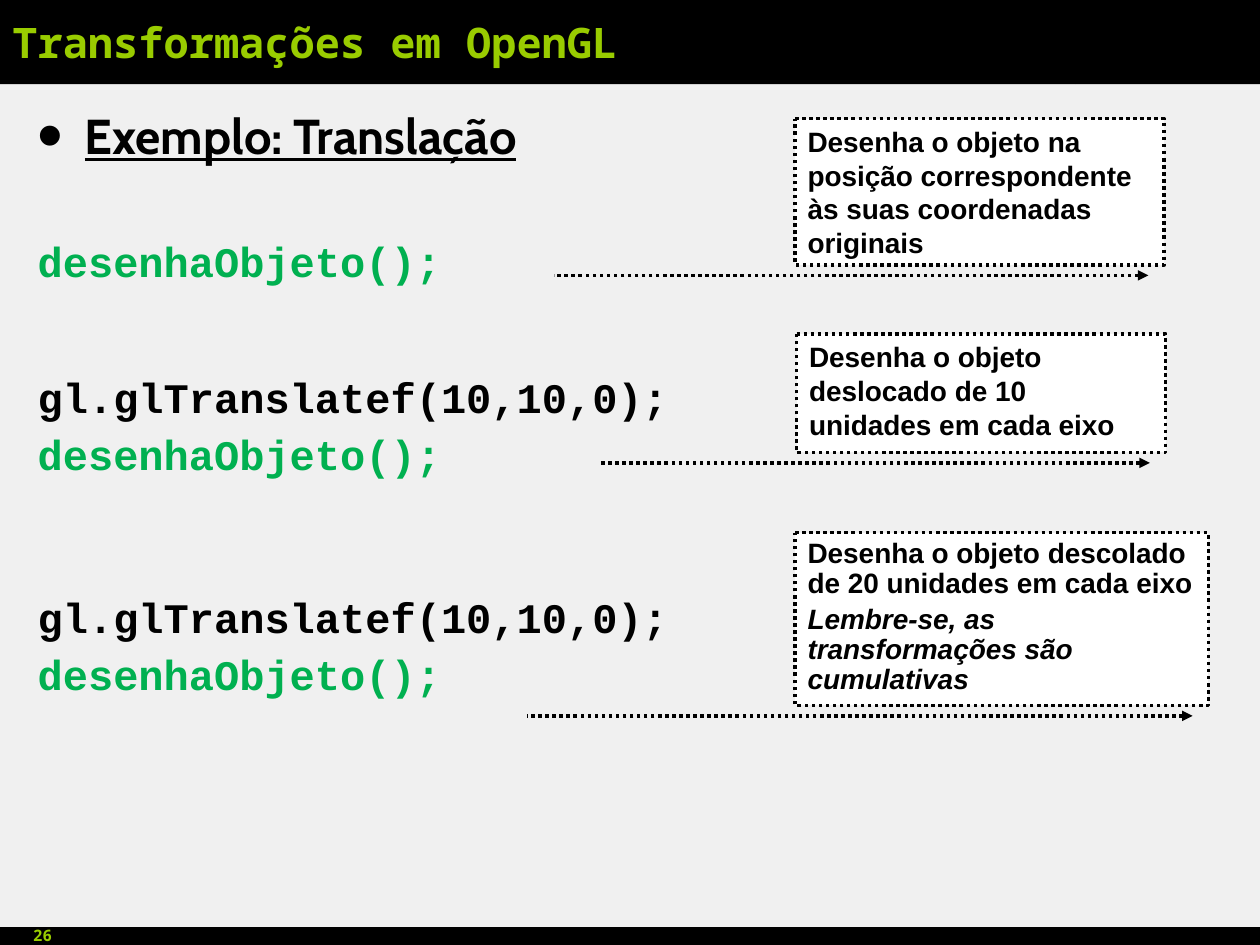
from dataclasses import dataclass

from lxml import etree
from pptx import Presentation
from pptx import util as u
from pptx.dml.color import RGBColor
from pptx.enum import dml, shapes, text
from pptx.oxml.ns import qn


@dataclass(frozen=True)
class Theme:
    background: str = "F0F0F0"
    bar: str = "000000"
    ink: str = "000000"
    paper: str = "FFFFFF"
    accent: str = "99CC00"
    draw_call: str = "00B050"
    title_font: str = "Noto Sans Mono"
    heading_font: str = "Cabin"
    code_font: str = "Courier New"
    note_font: str = "Arial"
    title_size: int = 24
    heading_size: int = 28
    code_size: int = 24
    note_size: int = 16
    number_size: int = 9


THEME = Theme()
TRANSLATE = "gl.glTranslatef(10,10,0);"
DRAW = "desenhaObjeto();"

# Code lines: text, colour, space before in points
CODE_LINES = [
    (DRAW, THEME.draw_call, 43.5),
    (TRANSLATE, THEME.ink, 52),
    (DRAW, THEME.draw_call, 6.4),
    (TRANSLATE, THEME.ink, 67.5),
    (DRAW, THEME.draw_call, 6.4),
]

# Callouts: box in cm, pointer (y1, x1, y2, x2), paragraphs with their format
TIGHT = {"line_spacing": 0.9, "space_before": 3.4}
CALLOUTS = [
    ((16.03, 2.39, 7.44, 2.95), (1.072, 0.957, 1.072, -0.654),
     [("Desenha o objeto na posição correspondente às suas coordenadas originais", {})]),
    ((16.06, 6.73, 7.44, 2.39), (1.089, 0.957, 1.089, -0.531),
     [("Desenha o objeto deslocado de 10 unidades em cada eixo", {})]),
    ((16.03, 10.74, 8.33, 3.48), (1.061, 0.962, 1.061, -0.65),
     [("Desenha o objeto descolado de 20 unidades em cada eixo", TIGHT),
      ("Lembre-se, as transformações são cumulativas", {**TIGHT, "italic": True})]),
]


def place(box):
    return [u.Cm(length) for length in box]


def write(frame, content, *, font, size, color=THEME.ink, italic=None, underline=None,
          align=text.PP_ALIGN.LEFT, line_spacing=None, space_before=None):
    """Add a bold paragraph, using the empty first one when it is free."""
    paragraph = frame.paragraphs[0]
    if paragraph.runs:
        paragraph = frame.add_paragraph()
    paragraph.alignment = align
    paragraph.line_spacing = line_spacing
    if space_before is not None:
        paragraph.space_before = u.Pt(space_before)
    run = paragraph.add_run()
    run.text = content
    run.font.name, run.font.size = font, u.Pt(size)
    run.font.bold, run.font.italic, run.font.underline = True, italic, underline
    run.font.color.rgb = RGBColor.from_string(color)
    return paragraph


def add_bullet(paragraph, indent, percent):
    properties = paragraph._p.get_or_add_pPr()
    properties.set("marL", str(indent))
    properties.set("indent", str(-indent))
    etree.SubElement(properties, qn("a:buSzPct")).set("val", str(percent * 1000))
    etree.SubElement(properties, qn("a:buFont")).set("typeface", THEME.note_font)
    etree.SubElement(properties, qn("a:buChar")).set("char", "•")


def add_box(slide, box, fill, kind=shapes.MSO_SHAPE.RECTANGLE):
    shape = slide.shapes.add_shape(kind, *place(box))
    shape.shadow.inherit = False
    shape.fill.solid()
    shape.fill.fore_color.rgb = RGBColor.from_string(fill)
    shape.line.fill.background()
    shape.text_frame.word_wrap = True
    return shape


def add_text(slide, box):
    frame = slide.shapes.add_textbox(*place(box)).text_frame
    frame.word_wrap = True
    return frame


def add_callout(slide, box, pointer, paragraphs):
    shape = add_box(slide, box, THEME.paper, shapes.MSO_SHAPE.LINE_CALLOUT_1)
    for index, value in enumerate(pointer):
        shape.adjustments[index] = value
    shape.line.color.rgb = RGBColor.from_string(THEME.ink)
    shape.line.width = u.Pt(2)
    shape.line.dash_style = dml.MSO_LINE.ROUND_DOT
    etree.SubElement(shape.line._get_or_add_ln(), qn("a:headEnd")).set("type", "triangle")
    shape.text_frame.vertical_anchor = text.MSO_ANCHOR.TOP
    for content, options in paragraphs:
        write(shape.text_frame, content, font=THEME.note_font, size=THEME.note_size, **options)


def add_frame(slide):
    # Footer bar, header bars, title and page number
    add_box(slide, (0, 18.69, 25.4, 0.36), THEME.bar)
    add_box(slide, (21.69, -0.03, 3.81, 1.73), THEME.bar)
    title = add_box(slide, (0, -0.03, 21.69, 1.73), THEME.bar).text_frame
    title.vertical_anchor = text.MSO_ANCHOR.MIDDLE
    write(title, "Transformações em OpenGL", font=THEME.title_font,
          size=THEME.title_size, color=THEME.accent)
    write(add_text(slide, (-0.33, 18.54, 1.63, 0.94)), "26", font=THEME.title_font,
          size=THEME.number_size, color=THEME.accent, align=text.PP_ALIGN.RIGHT)


def add_code(slide):
    # Heading with bullet, then the code lines
    body = add_text(slide, (0.51, 2.13, 24.41, 16))
    heading = write(body, "Exemplo: Translação", font=THEME.heading_font,
                    size=THEME.heading_size, underline=True, line_spacing=0.9)
    add_bullet(heading, u.Cm(0.95), 150)
    for content, color, gap in CODE_LINES:
        write(body, content, font=THEME.code_font, size=THEME.code_size, color=color,
              line_spacing=0.9, space_before=gap)


def main():
    presentation = Presentation()
    presentation.slide_width, presentation.slide_height = u.Cm(25.4), u.Cm(19.05)
    slide = presentation.slides.add_slide(presentation.slide_layouts[6])
    slide.background.fill.solid()
    slide.background.fill.fore_color.rgb = RGBColor.from_string(THEME.background)

    add_frame(slide)
    add_code(slide)
    for box, pointer, paragraphs in CALLOUTS:
        add_callout(slide, box, pointer, paragraphs)

    presentation.save("out.pptx")


if __name__ == "__main__":
    main()
